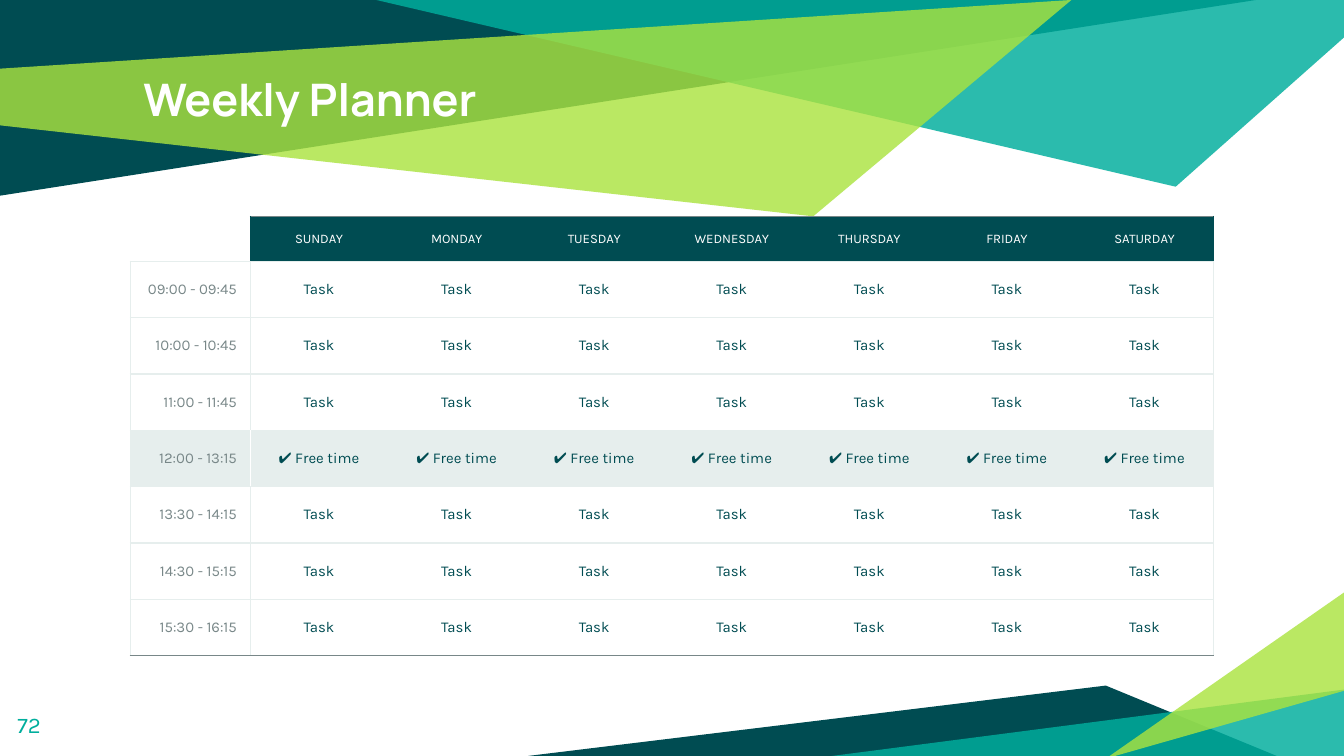
"""Build a weekly planner slide with a timetable and angular colour bands."""
import lxml.etree
import pptx
import pptx.dml.color
import pptx.enum.text
import pptx.oxml.ns
import pptx.util

Cm = pptx.util.Cm
Pt = pptx.util.Pt
RGBColor = pptx.dml.color.RGBColor
ALIGN = pptx.enum.text.PP_ALIGN
ANCHOR = pptx.enum.text.MSO_ANCHOR
qn = pptx.oxml.ns.qn

DARK = RGBColor(0x00, 0x4C, 0x52)
TEAL = RGBColor(0x00, 0xAE, 0x9D)
LIME = RGBColor(0xAB, 0xE3, 0x3F)
GREY = RGBColor(0x78, 0x87, 0x88)
PALE = RGBColor(0xE6, 0xEE, 0xED)
WHITE = RGBColor(0xFF, 0xFF, 0xFF)

DAYS = ["SUNDAY", "MONDAY", "TUESDAY", "WEDNESDAY", "THURSDAY", "FRIDAY", "SATURDAY"]
HOURS = ["09:00 - 09:45", "10:00 - 10:45", "11:00 - 11:45", "12:00 - 13:15",
         "13:30 - 14:15", "14:30 - 15:15", "15:30 - 16:15"]
BREAK = "12:00 - 13:15"
BANDS = [
    (DARK, 100, [(0, 0), (0, 3.7), (23.74, 0)]),
    (TEAL, 83, [(7.11, 0), (22.22, 3.53), (25.4, 0.71), (25.4, 0)]),
    (LIME, 81, [(-0.02, 1.3), (0, 2.37), (15.37, 4.09), (20.25, 0)]),
    (DARK, 100, [(9.98, 14.29), (24.13, 14.29), (20.9, 12.96)]),
    (TEAL, 83, [(25.44, 13.03), (25.44, 14.34), (15.34, 14.34)]),
    (LIME, 81, [(25.43, 13.05), (25.43, 11.18), (20.9, 14.34)]),
]


def write(frame, text, size, color, font="Karla", bold=False, align=ALIGN.LEFT, anchor=ANCHOR.MIDDLE):
    frame.word_wrap = True
    frame.vertical_anchor = anchor
    paragraph = frame.paragraphs[0]
    paragraph.alignment = align
    run = paragraph.add_run()
    run.text = text
    run.font.name = font
    run.font.size = Pt(size)
    run.font.bold = bold
    run.font.color.rgb = color


def set_borders(cell, colors):
    properties = cell._tc.get_or_add_tcPr()
    for side, color in zip("LRTB", colors):
        line = lxml.etree.SubElement(properties, qn(f"a:ln{side}"), w=str(Pt(0.75)))
        if color is None:
            lxml.etree.SubElement(line, qn("a:noFill"))
        else:
            paint = lxml.etree.SubElement(line, qn("a:solidFill"))
            lxml.etree.SubElement(paint, qn("a:srgbClr"), val=str(color))


deck = pptx.Presentation()
deck.slide_width = Cm(25.4)
deck.slide_height = Cm(14.29)
slide = deck.slides.add_slide(deck.slide_layouts[5])

for color, opacity, corners in BANDS:
    points = [(Cm(x), Cm(y)) for x, y in corners]
    outline = slide.shapes.build_freeform(*points[0], scale=1.0)
    outline.add_line_segments(points[1:], close=True)
    band = outline.convert_to_shape()
    band.shadow.inherit = False
    band.line.fill.background()
    band.fill.solid()
    band.fill.fore_color.rgb = color
    if opacity < 100:
        swatch = band._element.spPr.find(qn("a:solidFill"))[0]
        lxml.etree.SubElement(swatch, qn("a:alpha"), val=str(opacity * 1000))

title = slide.shapes.title
slide.shapes._spTree.append(title._element)
title.left, title.top, title.width, title.height = Cm(2.46), Cm(1.1), Cm(20.47), Cm(2.39)
page_number = slide.shapes.add_textbox(Cm(0.08), Cm(13.19), Cm(1.52), Cm(1.09))
for box in (title, page_number):
    frame = box.text_frame
    frame.margin_left = frame.margin_right = frame.margin_top = frame.margin_bottom = Cm(0.25)
write(title.text_frame, "Weekly Planner", 24, WHITE, font="Manrope", bold=True, anchor=ANCHOR.TOP)
write(page_number.text_frame, "72", 12, TEAL, anchor=ANCHOR.TOP)

planner = slide.shapes.add_table(
    len(HOURS) + 1, len(DAYS) + 1, Cm(2.46), Cm(4.09), Cm(20.47), Cm(8.31)).table
planner.first_row = False
planner.horz_banding = False
for index, column in enumerate(planner.columns):
    column.width = Cm(2.27) if index == 0 else Cm(2.6)
for index, row in enumerate(planner.rows):
    row.height = Cm(0.85) if index == 0 else Cm(7.46) // len(HOURS)

for r, hour in enumerate([""] + HOURS):
    is_header, is_break = r == 0, hour == BREAK
    divider = DARK if is_header else WHITE if is_break else PALE
    edge = DARK if is_header else PALE
    bottom = GREY if r == len(HOURS) else PALE
    for c, day in enumerate([""] + DAYS):
        is_corner = is_header and c == 0
        cell = planner.cell(r, c)
        cell.margin_left = cell.margin_right = Cm(0.25)
        cell.margin_top = cell.margin_bottom = Cm(0 if is_corner else 0.25)
        cell.vertical_anchor = ANCHOR.MIDDLE
        left = (None if is_header else PALE) if c == 0 else divider if c == 1 else None
        right = divider if c == 0 else edge if c == len(DAYS) else None
        top = None if is_corner else GREY if is_header else PALE
        set_borders(cell, (left, right, top, bottom))

        if is_corner or not (is_header or is_break):
            cell.fill.background()
        else:
            cell.fill.solid()
            cell.fill.fore_color.rgb = DARK if is_header else PALE

        if is_corner:
            blank = cell.text_frame.paragraphs[0]._p
            lxml.etree.SubElement(blank, qn("a:endParaRPr"), sz="700")
        elif is_header:
            write(cell.text_frame, day, 7, WHITE, align=ALIGN.CENTER)
        elif c == 0:
            write(cell.text_frame, hour, 8, GREY, align=ALIGN.RIGHT)
        else:
            write(cell.text_frame, "✔ Free time" if is_break else "Task", 8, DARK, align=ALIGN.CENTER)

deck.save("out.pptx")
